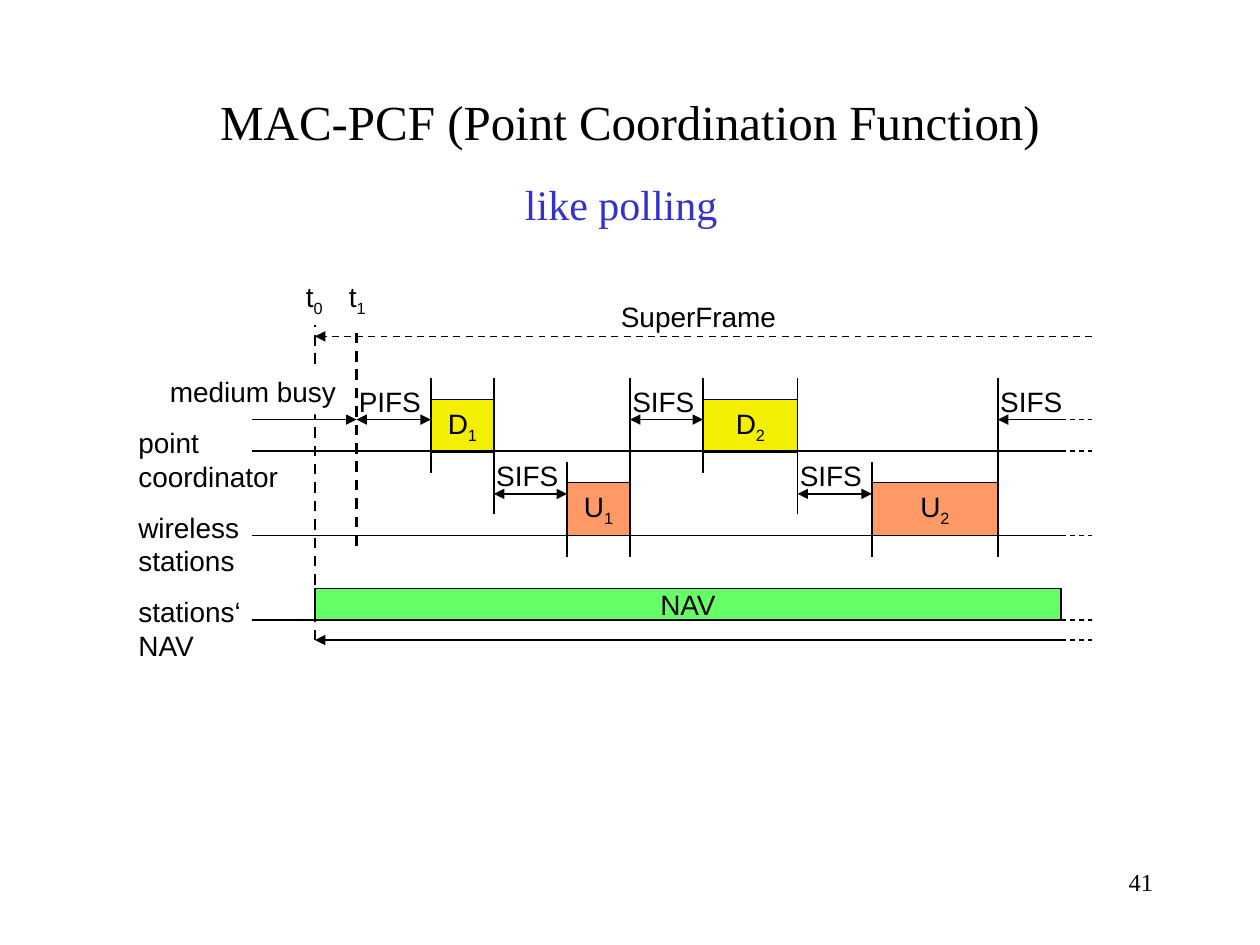
"""Build the MAC-PCF timing diagram slide."""
from dataclasses import dataclass

from lxml.etree import SubElement
from pptx import Presentation
from pptx.dml.color import RGBColor
from pptx.enum.dml import MSO_LINE
from pptx.enum.shapes import MSO_CONNECTOR, MSO_SHAPE
from pptx.enum.text import MSO_ANCHOR, MSO_AUTO_SIZE, PP_ALIGN
from pptx.oxml.ns import qn
from pptx.util import Inches, Pt

COLORS = {
    "black": "000000",
    "white": "FFFFFF",
    "blue": "3333CC",
    "downlink": "F4EE00",
    "uplink": "FF9966",
    "nav": "66FF66",
}
SANS, SERIF = "Arial", "Times New Roman"
AXIS_START, T0, T1, AXIS_END, DASH_END = 2, 2.5, 2.83, 8.42, 8.67
DOWN_Y, UP_Y = 3.33, 3.92


@dataclass
class Line:
    x1: float
    y1: float
    x2: float
    y2: float
    width: float = 0.75
    dashed: bool = False
    head: bool = False
    tail: bool = False


@dataclass
class Label:
    text: str
    x: float
    y: float
    w: float
    h: float = 0.37
    sub: str = ""


@dataclass
class Block:
    text: str
    sub: str
    x: float
    y: float
    w: float
    h: float
    fill: str


@dataclass
class Gap:
    text: str
    x1: float
    x2: float
    y: float
    tail: bool = True


def rgb(name: str) -> RGBColor:
    """Return a palette colour."""
    return RGBColor.from_string(COLORS[name])


def style(r, size: float, font: str = SANS, color: str = "black") -> None:
    """Format one run."""
    r.font.size = Pt(size)
    r.font.name = font
    r.font.color.rgb = rgb(color)


def write(tf, text: str, sub: str = "") -> None:
    """Fill a diagram text frame, with an optional subscript."""
    tf.text = text
    if sub:
        r = tf.paragraphs[0].add_run()
        r.text = sub
        r._r.get_or_add_rPr().set("baseline", "-25000")
    for p in tf.paragraphs:
        for r in p.runs:
            style(r, 16)


def add_line(s, line: Line) -> None:
    """Draw a straight line with optional dashes and arrowheads."""
    ends = [Inches(v) for v in (line.x1, line.y1, line.x2, line.y2)]
    sp = s.shapes.add_connector(MSO_CONNECTOR.STRAIGHT, *ends)
    sp.line.width = Pt(line.width)
    sp.line.color.rgb = rgb("black")
    if line.dashed:
        sp.line.dash_style = MSO_LINE.DASH
    spPr = sp._element.spPr
    ln = spPr.find(qn("a:ln"))
    for tag, shown in (("a:headEnd", line.head), ("a:tailEnd", line.tail)):
        if shown:
            SubElement(ln, qn(tag), type="triangle")
    SubElement(spPr, qn("a:effectLst"))


def add_box(s, x: float, y: float, w: float, h: float):
    """Add an empty text box."""
    return s.shapes.add_textbox(Inches(x), Inches(y), Inches(w), Inches(h))


def add_label(s, label: Label) -> None:
    """Add an unwrapped diagram label."""
    tf = add_box(s, label.x, label.y, label.w, label.h).text_frame
    tf.word_wrap = False
    tf.auto_size = MSO_AUTO_SIZE.SHAPE_TO_FIT_TEXT
    write(tf, label.text, label.sub)


def add_rect(s, x: float, y: float, w: float, h: float, fill: str):
    """Add a filled rectangle without a shadow."""
    sp = s.shapes.add_shape(MSO_SHAPE.RECTANGLE, Inches(x), Inches(y), Inches(w), Inches(h))
    sp.shadow.inherit = False
    sp.fill.solid()
    sp.fill.fore_color.rgb = rgb(fill)
    return sp


def add_block(s, block: Block) -> None:
    """Draw a transmission block with its centred name."""
    sp = add_rect(s, block.x, block.y, block.w, block.h, block.fill)
    sp.line.color.rgb = rgb("black")
    sp.line.width = Pt(0.75)
    tf = sp.text_frame
    tf.word_wrap = False
    tf.vertical_anchor = MSO_ANCHOR.MIDDLE
    write(tf, block.text, block.sub)
    tf.paragraphs[0].alignment = PP_ALIGN.CENTER


def add_gap(s, gap: Gap) -> None:
    """Draw an interframe space with its label above."""
    add_line(s, Line(gap.x1, gap.y, gap.x2, gap.y, head=True, tail=gap.tail))
    add_label(s, Label(gap.text, gap.x1 - 0.08, gap.y - 0.33, 0.7))


def add_title(s) -> None:
    """Add the two-line title."""
    tf = add_box(s, 0.75, 0.67, 8.5, 1.25).text_frame
    tf.word_wrap = True
    tf.vertical_anchor = MSO_ANCHOR.MIDDLE
    p = tf.paragraphs[0]
    p.text = "MAC-PCF (Point Coordination Function)\vlike polling"
    p.alignment = PP_ALIGN.CENTER
    p.add_run().text = " "
    looks = ((28, "black"), (24, "blue"), (40, "black"))
    for r, (size, color) in zip(p.runs, looks):
        style(r, size, SERIF, color)


def add_page_number(s) -> None:
    """Add the slide number text."""
    tf = add_box(s, 7.17, 6.83, 2.08, 0.5).text_frame
    tf.word_wrap = True
    tf.text = "41"
    p = tf.paragraphs[0]
    p.alignment = PP_ALIGN.RIGHT
    style(p.runs[0], 14, SERIF)


def add_medium_busy(s) -> None:
    """Add the white label that interrupts the t0 marker."""
    sp = add_rect(s, 1.25, 2.92, 1.58, 0.37, "white")
    sp.line.fill.background()
    tf = sp.text_frame
    tf.word_wrap = True
    tf.auto_size = MSO_AUTO_SIZE.SHAPE_TO_FIT_TEXT
    write(tf, "medium busy")
    tf.paragraphs[0].alignment = PP_ALIGN.LEFT


LABELS = [
    Label("point\ncoordinator", 1, 3.33, 1.31, 0.64),
    Label("wireless\nstations", 1, 4, 1, 0.64),
    Label("stations‘\nNAV", 1, 4.67, 1.02, 0.64),
    Label("SuperFrame", 4.83, 2.33, 1.44),
    Label("t", 2.33, 2.17, 0.35, sub="0"),
    Label("t", 2.67, 2.17, 0.35, sub="1"),
]
BLOCKS = [
    Block("D", "1", 3.42, 3.17, 0.5, 0.42, "downlink"),
    Block("U", "1", 4.5, 3.83, 0.5, 0.42, "uplink"),
    Block("D", "2", 5.58, 3.17, 0.75, 0.42, "downlink"),
    Block("U", "2", 6.92, 3.83, 1, 0.42, "uplink"),
    Block("NAV", "", T0, 4.67, AXIS_END - T0, 0.25, "nav"),
]
GAPS = [
    Gap("PIFS", T1, 3.42, DOWN_Y),
    Gap("SIFS", 3.92, 4.5, UP_Y),
    Gap("SIFS", 5, 5.58, DOWN_Y),
    Gap("SIFS", 6.33, 6.92, UP_Y),
    Gap("SIFS", 7.92, AXIS_END, DOWN_Y, tail=False),
]
BOUNDARIES = [
    (3.42, 3, 3.75), (3.92, 3, 4.08), (4.5, 3.67, 4.42), (5, 3, 4.42),
    (5.58, 3, 3.75), (6.33, 3, 4.08), (6.92, 3.67, 4.42), (7.92, 3, 4.42),
]
AXES = [3.58, 4.25, 4.92]
LINES = [
    *[Line(AXIS_START, y, AXIS_END, y) for y in AXES],
    *[Line(AXIS_END, y, DASH_END, y, dashed=True) for y in (DOWN_Y, *AXES, 5.08)],
    *[Line(x, bottom, x, top) for x, top, bottom in BOUNDARIES],
    Line(AXIS_START, DOWN_Y, T1, DOWN_Y, tail=True),
    Line(AXIS_END, 5.08, T0, 5.08, tail=True),
    Line(DASH_END, 2.67, T0, 2.67, 1, dashed=True, tail=True),
    Line(T0, 5.08, T0, 2.58, 1.5, dashed=True),
]

prs = Presentation()
prs.slide_width, prs.slide_height = Inches(10), Inches(7.5)
s = prs.slides.add_slide(prs.slide_layouts[6])
add_page_number(s)
add_title(s)
for draw, items in ((add_block, BLOCKS), (add_line, LINES), (add_gap, GAPS)):
    for item in items:
        draw(s, item)
add_medium_busy(s)
add_line(s, Line(T1, 4.33, T1, 2.58, 1.5, dashed=True))
for label in LABELS:
    add_label(s, label)
prs.save("out.pptx")
